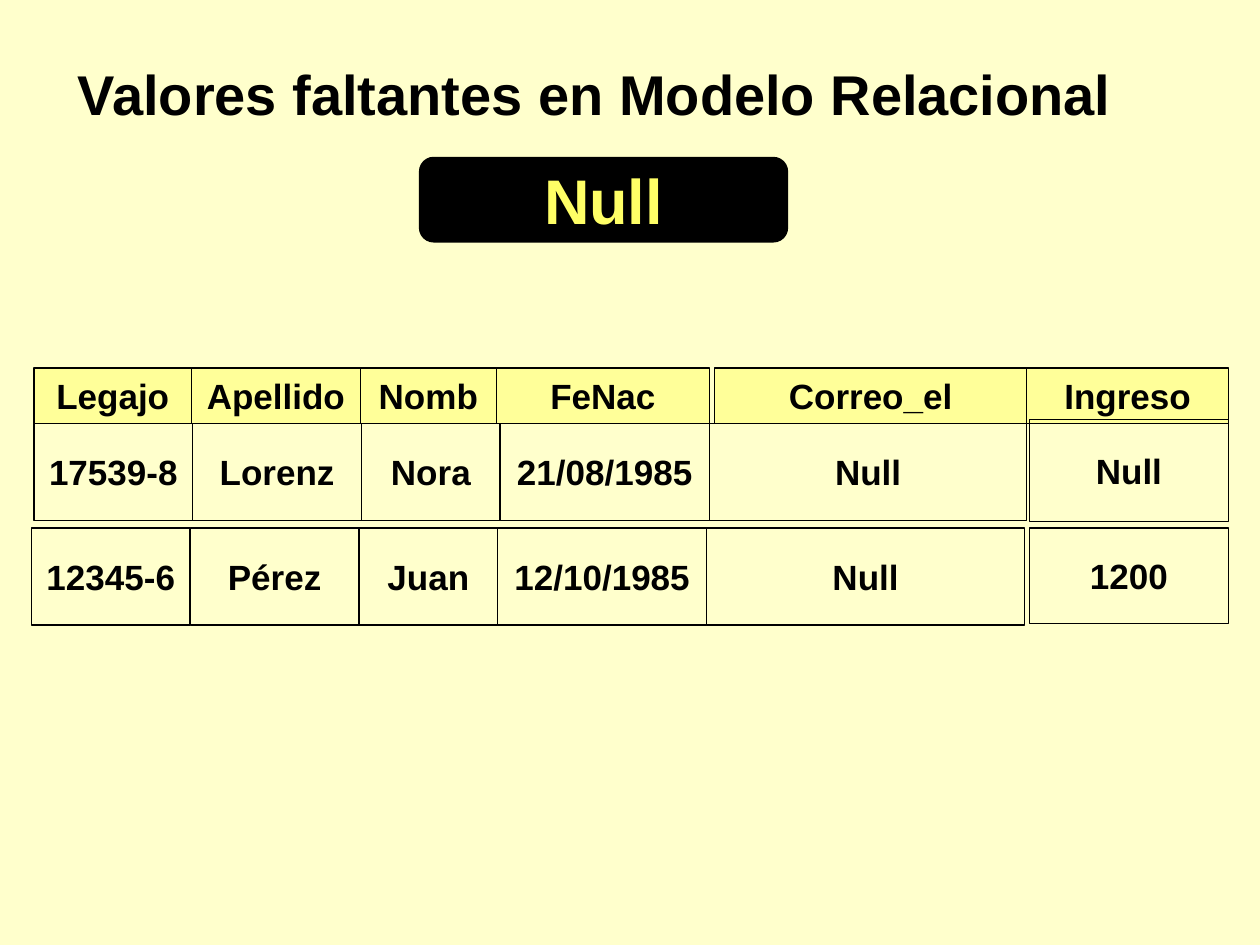
from dataclasses import dataclass
from typing import Optional

from pptx import Presentation, util as u
from pptx.dml.color import RGBColor
from pptx.enum import shapes, text

COLORS = {"page": "FFFFCC", "ink": "000000", "header": "FFFF99", "accent": "FFFF66"}
FONT = "Arial"


@dataclass
class Band:
    """A run of touching cells that share top, height and fill."""
    left: float
    top: float
    height: float
    widths: list[float]
    labels: list[str]
    fill: Optional[str] = None


RECORD_WIDTHS = [1.26, 1.34, 1.1, 1.66, 2.52]
BANDS = [
    Band(0.27, 2.92, 0.44, [1.25, 1.34, 1.08, 1.69],
         ["Legajo", "Apellido", "Nomb", "FeNac"], "header"),
    Band(5.67, 2.92, 0.44, [2.48, 1.6], ["Correo_el", "Ingreso"], "header"),
    Band(0.27, 3.36, 0.77, RECORD_WIDTHS,
         ["17539-8", "Lorenz", "Nora", "21/08/1985", "Null"]),
    Band(0.25, 4.19, 0.77, RECORD_WIDTHS,
         ["12345-6", "Pérez", "Juan", "12/10/1985", "Null"]),
    Band(8.17, 3.33, 0.81, [1.58], ["Null"]),
    Band(8.17, 4.19, 0.76, [1.58], ["1200"]),
]


def rgb(name: str) -> RGBColor:
    """Look up a named colour."""
    return RGBColor.from_string(COLORS[name])


def write(frame, words: str, size: float, color: str = "ink") -> None:
    """Put one bold line into a text frame."""
    frame.text = words
    font = frame.paragraphs[0].runs[0].font
    font.name, font.size, font.bold = FONT, u.Pt(size), True
    font.color.rgb = rgb(color)


def add_box(slide, kind, left: float, top: float, width: float, height: float,
            words: str, size: float = 20, fill: Optional[str] = None,
            color: str = "ink") -> None:
    """Draw an outlined box with centred text."""
    box = slide.shapes.add_shape(kind, u.Inches(left), u.Inches(top),
                                 u.Inches(width), u.Inches(height))
    box.shadow.inherit = False
    if fill:
        box.fill.solid()
        box.fill.fore_color.rgb = rgb(fill)
    else:
        box.fill.background()
    box.line.color.rgb = rgb("ink")
    box.line.width = u.Pt(0.75)
    frame = box.text_frame
    frame.word_wrap = False
    frame.vertical_anchor = text.MSO_ANCHOR.MIDDLE
    write(frame, words, size, color)
    frame.paragraphs[0].alignment = text.PP_ALIGN.CENTER


def add_band(slide, band: Band) -> None:
    """Draw the cells of a band from left to right."""
    left = band.left
    for width, label in zip(band.widths, band.labels):
        add_box(slide, shapes.MSO_SHAPE.RECTANGLE, left, band.top, width,
                band.height, label, fill=band.fill)
        left += width


def main() -> None:
    """Build the slide on missing values."""
    deck = Presentation()
    deck.slide_width, deck.slide_height = u.Inches(10), u.Inches(7.5)
    slide = deck.slides.add_slide(deck.slide_layouts[6])
    slide.background.fill.solid()
    slide.background.fill.fore_color.rgb = rgb("page")

    title = slide.shapes.add_textbox(u.Inches(0.52), u.Inches(0.42),
                                     u.Inches(8.89), u.Inches(0.64))
    title.text_frame.word_wrap = True
    write(title.text_frame, "Valores faltantes en Modelo Relacional", 32)

    add_box(slide, shapes.MSO_SHAPE.ROUNDED_RECTANGLE, 3.33, 1.25, 2.92, 0.67,
            "Null", 36, "ink", "accent")
    for band in BANDS:
        add_band(slide, band)
    deck.save("out.pptx")


if __name__ == "__main__":
    main()
